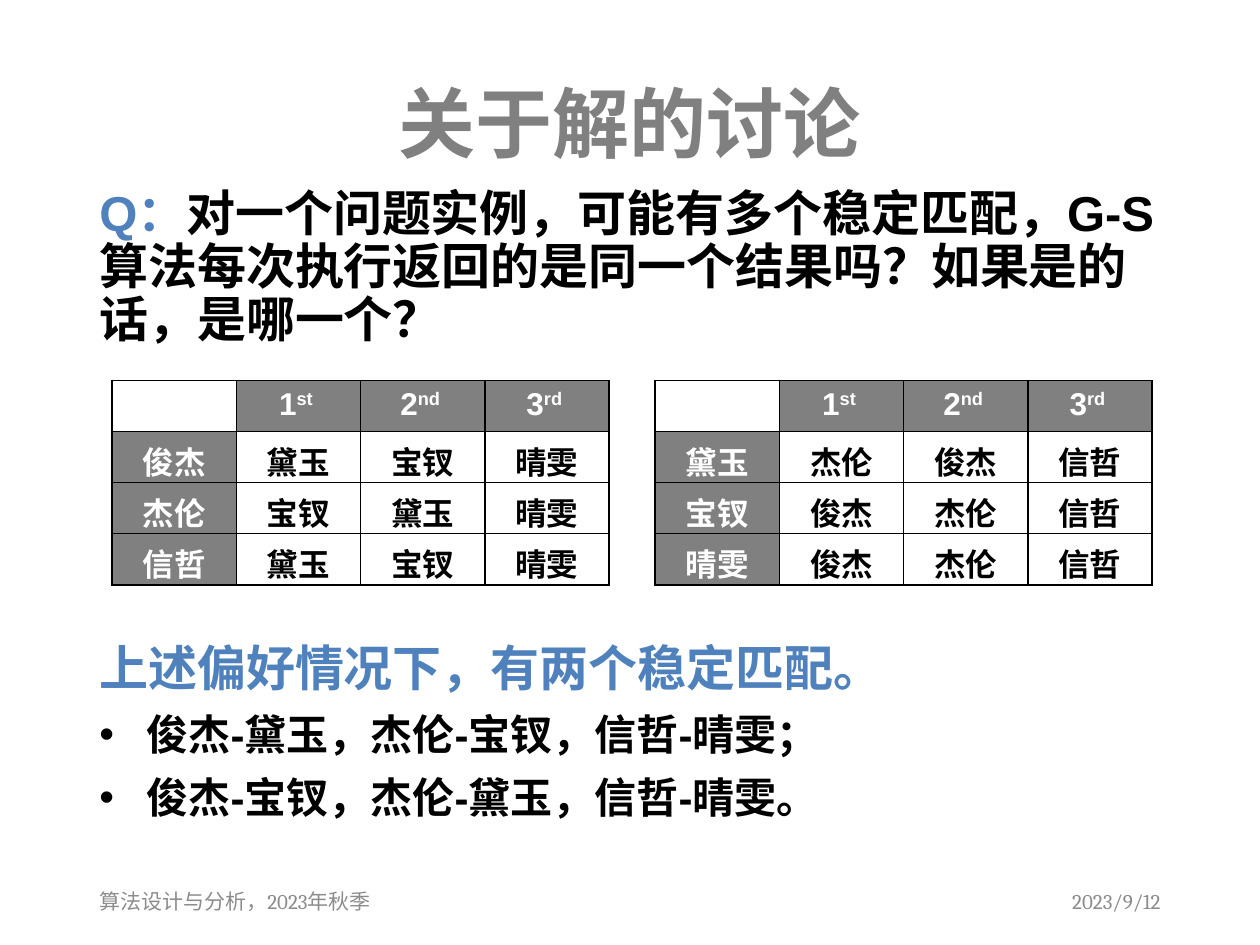
from dataclasses import dataclass

from lxml import etree
from pptx import Presentation
from pptx import util as u
from pptx.dml.color import RGBColor
from pptx.enum import text as t
from pptx.oxml import ns

INK = {"gray": "808080", "pale": "8C8C8C", "blue": "4F81BD",
       "black": "000000", "white": "FFFFFF"}
LEFT, WIDE = 49.7, 620.6
COL, ROW = 71, 29.2
HEAD = {"name": "Arial", "size": u.Pt(44), "bold": True}
BODY = {**HEAD, "size": u.Pt(28)}
ITEM = {**HEAD, "size": u.Pt(24)}
CELL = {**HEAD, "size": u.Pt(18)}
FOOT = {"name": "Cambria", "size": u.Pt(12), "bold": False}
RANKS = [("1", "st "), ("2", "nd "), ("3", "rd ")]


@dataclass
class Run:
    words: str
    ink: str
    form: dict
    base: int = 0


@dataclass
class Para:
    runs: list
    align: t.PP_ALIGN = t.PP_ALIGN.LEFT
    line: float = 1.0
    before: float = 0
    mark: str = ""


@dataclass
class Grid:
    left: float
    rows: list


def apply(obj, form: dict) -> None:
    for key, val in form.items():
        setattr(obj, key, val)


def write(frame, paras: list) -> None:
    for i, para in enumerate(paras):
        p = frame.add_paragraph() if i else frame.paragraphs[0]
        apply(p, {"alignment": para.align, "line_spacing": para.line,
                  "space_before": u.Pt(para.before)})
        if para.mark:
            prop = p._p.get_or_add_pPr()
            prop.set("marL", str(u.Pt(27)))
            prop.set("indent", str(u.Pt(-27)))
            etree.SubElement(prop, ns.qn("a:buFont")).set("typeface", "Arial")
            etree.SubElement(prop, ns.qn("a:buChar")).set("char", para.mark)
        for run in para.runs:
            r = p.add_run()
            r.text = run.words
            apply(r.font, run.form)
            r.font.color.rgb = RGBColor.from_string(INK[run.ink])
            if run.base:
                r._r.get_or_add_rPr().set("baseline", str(run.base * 1000))


def place(shape, left: float, top: float, wide: float, high: float) -> None:
    apply(shape, {"left": u.Pt(left), "top": u.Pt(top),
                  "width": u.Pt(wide), "height": u.Pt(high)})


def box(slide, area: tuple, paras: list, anchor=t.MSO_ANCHOR.TOP) -> None:
    frame = slide.shapes.add_textbox(*map(u.Pt, area)).text_frame
    apply(frame, {"word_wrap": True, "vertical_anchor": anchor})
    write(frame, paras)


def edge(cell) -> None:
    prop = cell._tc.get_or_add_tcPr()
    for side in ("lnL", "lnR", "lnT", "lnB"):
        line = etree.SubElement(prop, ns.qn(f"a:{side}"), w=str(u.Pt(1)))
        fill = etree.SubElement(line, ns.qn("a:solidFill"))
        etree.SubElement(fill, ns.qn("a:srgbClr")).set("val", INK["black"])


def draw(slide, grid: Grid) -> None:
    area = map(u.Pt, (grid.left, 217.4, 4 * COL, 4 * ROW))
    table = slide.shapes.add_table(4, 4, *area).table
    apply(table, {"first_row": False, "horz_banding": False})
    for col in table.columns:
        col.width = u.Pt(COL)
    for y, row in enumerate(table.rows):
        row.height = u.Pt(ROW)
        for x, cell in enumerate(row.cells):
            dark = (x == 0) != (y == 0)
            edge(cell)
            cell.fill.solid()
            cell.fill.fore_color.rgb = RGBColor.from_string(
                INK["gray" if dark else "white"])
            if y:
                ink = "white" if dark else "black"
                runs = [Run(grid.rows[y - 1][x], ink, CELL)]
            elif x:
                num, end = RANKS[x - 1]
                runs = [Run(num, "white", CELL), Run(end, "white", CELL, 30)]
            else:
                continue
            write(cell.text_frame, [Para(runs, t.PP_ALIGN.CENTER)])


def main() -> None:
    deck = Presentation()
    apply(deck, {"slide_width": u.Pt(720), "slide_height": u.Pt(540)})
    slide = deck.slides.add_slide(deck.slide_layouts[5])

    title = slide.shapes.title
    place(title, LEFT, 41.8, WIDE, 62.6)
    apply(title.text_frame, {"vertical_anchor": t.MSO_ANCHOR.MIDDLE,
                             "auto_size": t.MSO_AUTO_SIZE.NONE})
    write(title.text_frame, [Para([Run("关于解的讨论", "gray", HEAD)],
                                  t.PP_ALIGN.CENTER, 0.9)])

    ask = ("对一个问题实例，可能有多个稳定匹配，G-S算法每次执行返回的是"
           "同一个结果吗？如果是的话，是哪一个？")
    box(slide, (LEFT, 104.4, WIDE, 100.8),
        [Para([Run("Q：", "blue", BODY), Run(ask, "black", BODY)], line=0.9)])

    for grid in (
        Grid(64.1, [("俊杰", "黛玉", "宝钗", "晴雯"),
                    ("杰伦", "宝钗", "黛玉", "晴雯"),
                    ("信哲", "黛玉", "宝钗", "晴雯")]),
        Grid(374.4, [("黛玉", "杰伦", "俊杰", "信哲"),
                     ("宝钗", "俊杰", "杰伦", "信哲"),
                     ("晴雯", "俊杰", "杰伦", "信哲")]),
    ):
        draw(slide, grid)

    lead = Run("上述偏好情况下，有两个稳定匹配。", "blue", BODY)
    pairs = ("俊杰-黛玉，杰伦-宝钗，信哲-晴雯；",
             "俊杰-宝钗，杰伦-黛玉，信哲-晴雯。")
    box(slide, (LEFT, 364.3, WIDE, 133.9),
        [Para([lead], line=0.9)]
        + [Para([Run(pair, "black", ITEM)], line=0.9, before=10, mark="•")
           for pair in pairs])

    for left, wide, words, align in (
        (LEFT, 432, "算法设计与分析，2023年秋季", t.PP_ALIGN.LEFT),
        (508.3, 162, "2023/9/12", t.PP_ALIGN.RIGHT),
    ):
        box(slide, (left, 500.4, wide, 28.8),
            [Para([Run(words, "pale", FOOT)], align), ], t.MSO_ANCHOR.MIDDLE)

    deck.save("out.pptx")


if __name__ == "__main__":
    main()
